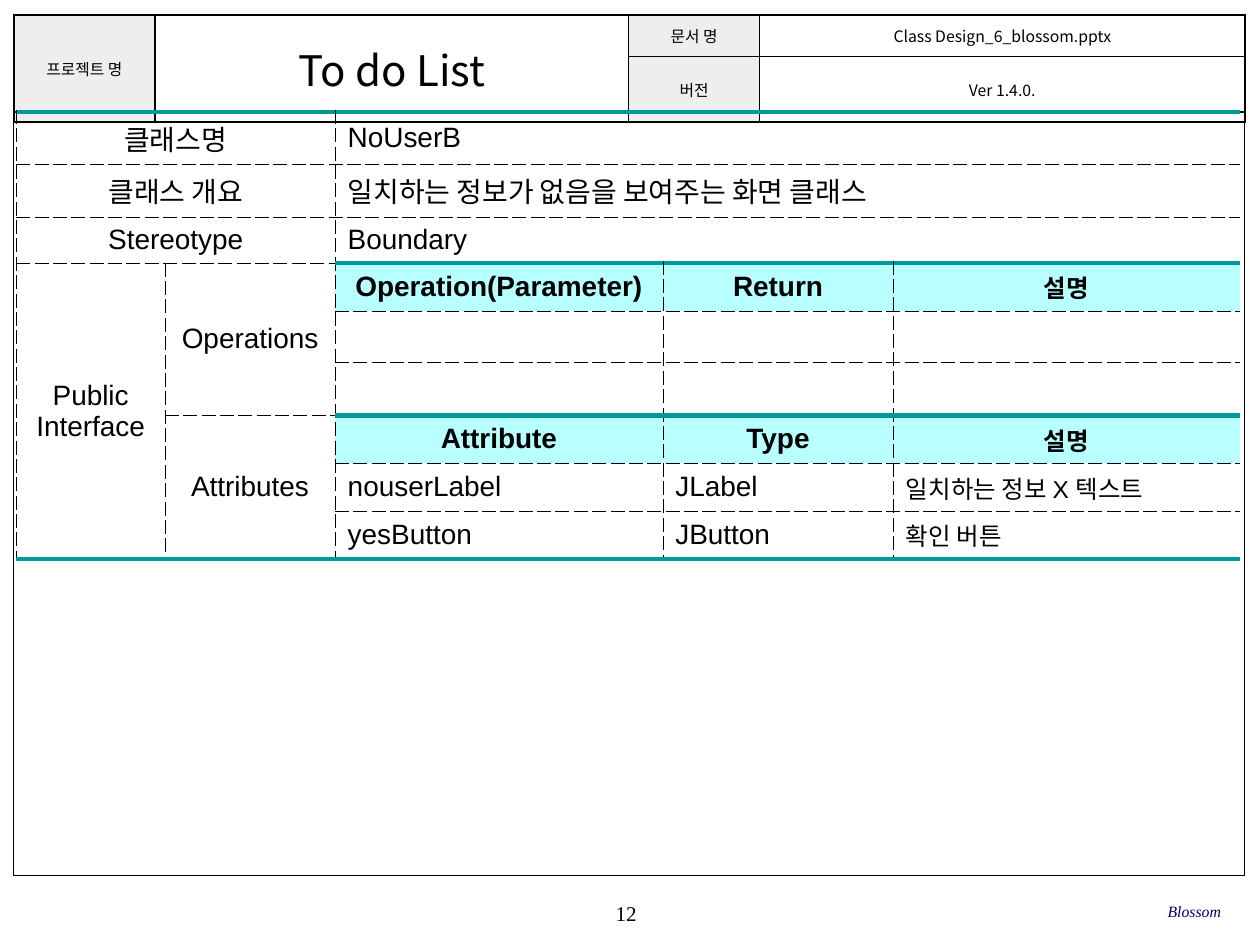
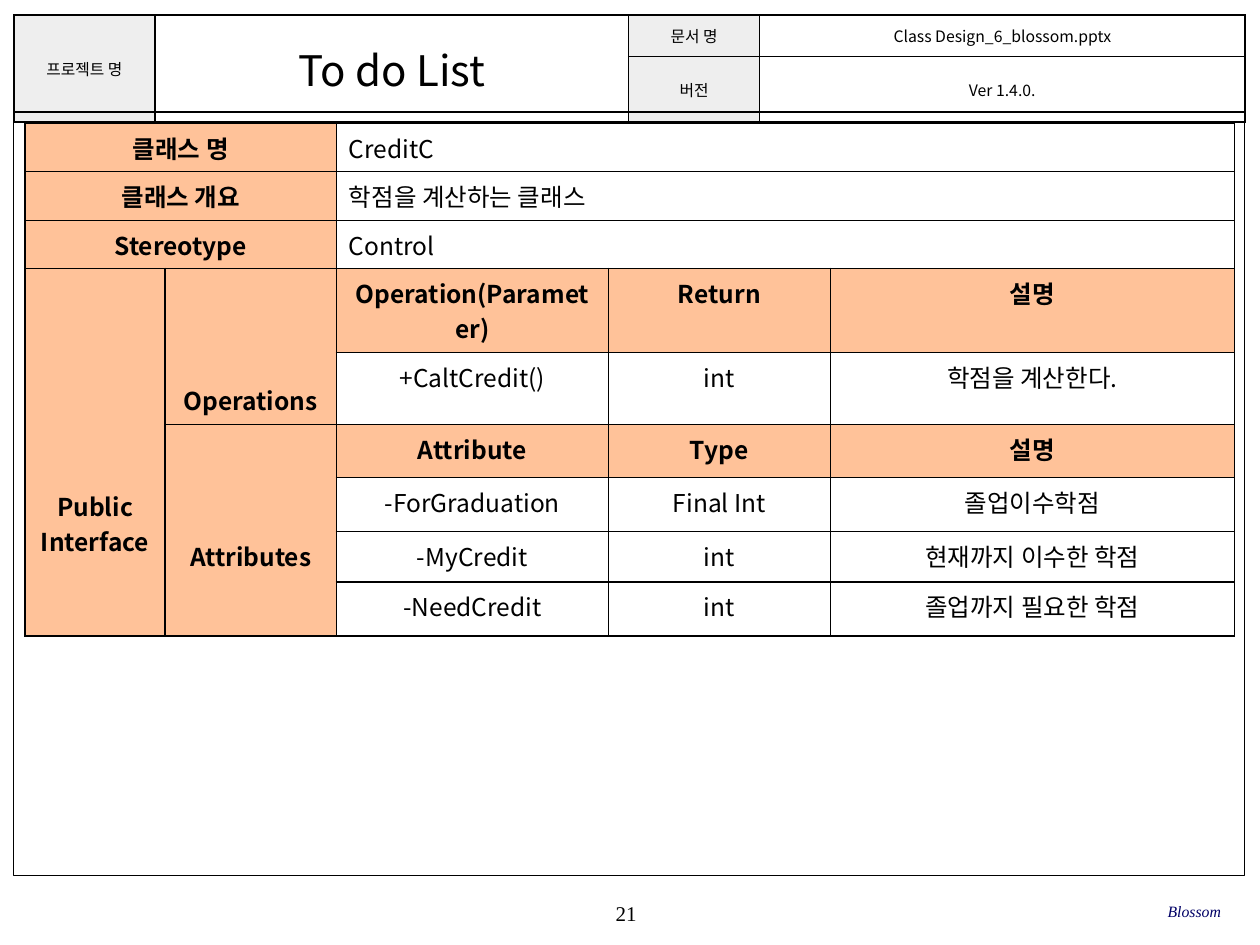
"""Build two class design sheets with a shared project header and footer."""
from lxml import etree
from pptx import Presentation
from pptx.dml.color import RGBColor
from pptx.enum.shapes import MSO_SHAPE
from pptx.enum.text import MSO_ANCHOR, PP_ALIGN
from pptx.oxml.ns import qn
from pptx.util import Inches, Pt

LEFT, CENTER, RIGHT = PP_ALIGN.LEFT, PP_ALIGN.CENTER, PP_ALIGN.RIGHT
TOP, MIDDLE = MSO_ANCHOR.TOP, MSO_ANCHOR.MIDDLE
RECTANGLE = MSO_SHAPE.RECTANGLE
KOREAN, SANS, SERIF = "Noto Sans CJK KR", "Arial", "Times New Roman"
BLACK, WHITE, GREY, NAVY = "000000", "FFFFFF", "EEEEEE", "000066"
TEAL, AQUA, PEACH = "009999", "B8FFFF", "FFC299"

SOLID = (BLACK, 1, "solid")
DASHED = (BLACK, 0.25, "lgDash")
HEAVY = (TEAL, 3, "solid")

FRAME = (0.11, 0.89, 9.77, 6.06)
HEADER = {
    "at": (0.11, 0.12), "columns": (1.12, 3.76, 1.04, 3.85), "rows": (0.33, 0.52),
    "cells": [("프로젝트 명", "To do List", "문서 명", "Class Design_6_blossom.pptx"),
              ("", "", "버전", "Ver 1.4.0.")],
    "merges": [(0, 0, 1, 0), (0, 1, 1, 1)],
}
OPERATION_HEAD = ("Operation(Parameter)", "Return", "설명")
ATTRIBUTE_HEAD = ("Attribute", "Type", "설명")
SUMMARY_ROWS = 3

SHEETS = [
    {
        "page": "12", "at": (0.13, 0.89),
        "columns": (1.18, 1.35, 2.6, 1.83, 2.75),
        "rows": (0.41, 0.42, 0.35, 0.38, 0.41, 0.42, 0.38, 0.38, 0.38),
        "summary": [("클래스명", "NoUserB"),
                    ("클래스 개요", "일치하는 정보가 없음을 보여주는 화면 클래스"),
                    ("Stereotype", "Boundary")],
        "operations": [("", "", ""), ("", "", "")],
        "attributes": [("nouserLabel", "JLabel", "일치하는 정보 X 텍스트"),
                       ("yesButton", "JButton", "확인 버튼")],
        "font": SANS, "size": 16, "note_size": 14, "anchor": MIDDLE, "align": LEFT,
        "head_fill": AQUA, "label_fill": None, "body_fill": None,
        "bold_labels": False, "ruled": True, "label_drops": (0, 0, 0),
    },
    {
        "page": "21", "at": (0.2, 0.98),
        "columns": (1.11, 1.36, 2.16, 1.76, 3.21),
        "rows": (0.38, 0.39, 0.38, 0.67, 0.57, 0.42, 0.43, 0.4, 0.43),
        "summary": [("클래스 명", "CreditC"),
                    ("클래스 개요", "학점을 계산하는 클래스"),
                    ("Stereotype", "Control")],
        "operations": [("+CaltCredit()", "int", "학점을 계산한다.")],
        "attributes": [("-ForGraduation", "Final Int", "졸업이수학점"),
                       ("-MyCredit", "int", "현재까지 이수한 학점"),
                       ("-NeedCredit", "int", "졸업까지 필요한 학점")],
        "font": KOREAN, "size": 14, "note_size": 14, "anchor": TOP, "align": CENTER,
        "head_fill": PEACH, "label_fill": PEACH, "body_fill": WHITE,
        "bold_labels": True, "ruled": False, "label_drops": (1.69, 0.85, 0.85),
    },
]


def rgb(value):
    """Turn a hex string into a colour."""
    return RGBColor.from_string(value)


def format_text(frame, font, size, align, color=BLACK, bold=False, italic=False):
    """Give every paragraph of a text frame the same look."""
    for para in frame.paragraphs:
        para.alignment = align
        para.font.name, para.font.size = font, Pt(size)
        para.font.bold, para.font.italic = bold, italic
        para.font.color.rgb = rgb(color)
        defaults = para._p.pPr.find(qn("a:defRPr"))
        etree.SubElement(defaults, qn("a:ea"), typeface=KOREAN)


def set_margins(target, across, down):
    """Set equal side margins and equal top and bottom margins."""
    target.margin_left = target.margin_right = Inches(across)
    target.margin_top = target.margin_bottom = Inches(down)


def add_label(slide, text, at, **style):
    """Add a text box without margins, centred vertically."""
    frame = slide.shapes.add_textbox(*map(Inches, at)).text_frame
    frame.word_wrap = True
    frame.vertical_anchor = MIDDLE
    set_margins(frame, 0, 0)
    frame.text = text
    format_text(frame, **style)


def add_border(cell, side, stroke):
    """Draw one side of a cell, or clear it when there is no stroke."""
    line = etree.SubElement(cell._tc.get_or_add_tcPr(), qn(f"a:ln{side}"))
    if stroke is None:
        etree.SubElement(line, qn("a:noFill"))
        return
    color, width, dash = stroke
    line.set("w", str(int(Pt(width))))
    fill = etree.SubElement(line, qn("a:solidFill"))
    etree.SubElement(fill, qn("a:srgbClr"), val=color)
    etree.SubElement(line, qn("a:prstDash"), val=dash)


def fill_cell(cell, color):
    """Fill a cell, or leave it clear when there is no colour."""
    if color is None:
        cell.fill.background()
    else:
        cell.fill.solid()
        cell.fill.fore_color.rgb = rgb(color)


def add_grid(slide, at, columns, rows, cells, merges):
    """Add a plain table, merge and fill in its cells, and return it."""
    size = (sum(columns), sum(rows))
    table = slide.shapes.add_table(len(rows), len(columns), *map(Inches, at + size)).table
    table.first_row = table.horz_banding = False
    for column, width in zip(table.columns, columns):
        column.width = Inches(width)
    for row, height in zip(table.rows, rows):
        row.height = Inches(height)
    for top, left, bottom, right in merges:
        table.cell(top, left).merge(table.cell(bottom, right))
    for row, texts in enumerate(cells):
        for column, text in enumerate(texts):
            if text:
                table.cell(row, column).text = text
    return table


def visible_cells(table):
    """Yield row, column and cell for each cell not hidden by a merge."""
    for row in range(len(table.rows)):
        for column in range(len(table.columns)):
            cell = table.cell(row, column)
            if not cell.is_spanned:
                yield row, column, cell


def add_header(slide):
    """Add the project table."""
    table = add_grid(slide, **HEADER)
    for row, column, cell in visible_cells(table):
        for side in "LRTB":
            add_border(cell, side, SOLID)
        fill_cell(cell, GREY if column in (0, 2) else None)
        cell.vertical_anchor = MIDDLE
        set_margins(cell, 0.04, 0.02)
        format_text(cell.text_frame, KOREAN, 24 if column == 1 else 9, CENTER)


def add_frame(slide):
    """Add the outline of the page body."""
    box = slide.shapes.add_shape(RECTANGLE, *map(Inches, FRAME))
    box.shadow.inherit = False
    box.fill.background()
    box.line.color.rgb = rgb(BLACK)
    box.line.width = Pt(0.75)


def add_class_table(slide, sheet):
    """Add the table that describes one class."""
    first, last = SUMMARY_ROWS, len(sheet["rows"]) - 1
    split = first + 1 + len(sheet["operations"])
    details = [OPERATION_HEAD, *sheet["operations"], ATTRIBUTE_HEAD, *sheet["attributes"]]
    labels = {(first, 0): "Public\nInterface", (first, 1): "Operations", (split, 1): "Attributes"}
    drops = dict(zip(labels, sheet["label_drops"]))
    cells = [(label, "", value, "", "") for label, value in sheet["summary"]]
    cells += [(labels.get((row, 0), ""), labels.get((row, 1), ""), *texts)
              for row, texts in enumerate(details, first)]
    merges = [(row, left, row, right) for row in range(first) for left, right in ((0, 1), (2, 4))]
    merges += [(first, 0, last, 0), (first, 1, split - 1, 1), (split, 1, last, 1)]
    table = add_grid(slide, sheet["at"], sheet["columns"], sheet["rows"], cells, merges)

    def level_stroke(level, column):
        """Choose the stroke of a horizontal rule."""
        if not sheet["ruled"]:
            return SOLID
        heavy = level in (0, last + 1) or (level in (first, split) and column > 1)
        return HEAVY if heavy else DASHED

    upright = DASHED if sheet["ruled"] else SOLID
    for row, column, cell in visible_cells(table):
        is_label, is_head = column < 2, column > 1 and row in (first, split)
        at_edge = column + cell.span_width == len(sheet["columns"])
        add_border(cell, "L", upright)
        add_border(cell, "R", None if sheet["ruled"] and at_edge else upright)
        add_border(cell, "T", level_stroke(row, column))
        add_border(cell, "B", level_stroke(row + cell.span_height, column))
        kind = "head_fill" if is_head else "label_fill" if is_label else "body_fill"
        fill_cell(cell, sheet[kind])
        cell.vertical_anchor = sheet["anchor"]
        set_margins(cell, 0.1, 0.05)
        cell.margin_top = Inches(0.05 + drops.get((row, column), 0))
        if is_label or is_head:
            align = CENTER
        else:
            align = LEFT if row < first else sheet["align"]
        format_text(cell.text_frame, sheet["font"], sheet["note_size" if column == 4 else "size"],
                    align, bold=is_head or (is_label and sheet["bold_labels"]))


def main():
    """Build and save the deck."""
    deck = Presentation()
    deck.slide_width, deck.slide_height = Inches(10), Inches(7.5)
    for sheet in SHEETS:
        slide = deck.slides.add_slide(deck.slide_layouts.get_by_name("Blank"))
        add_label(slide, sheet["page"], (3.93, 7.08, 2.08, 0.33),
                  font=SERIF, size=12, align=CENTER)
        add_header(slide)
        add_frame(slide)
        add_label(slide, "Blossom", (6.63, 7.07, 3.06, 0.33),
                  font=SERIF, size=9, align=RIGHT, color=NAVY, italic=True)
        add_class_table(slide, sheet)
    deck.save("out.pptx")


if __name__ == "__main__":
    main()
